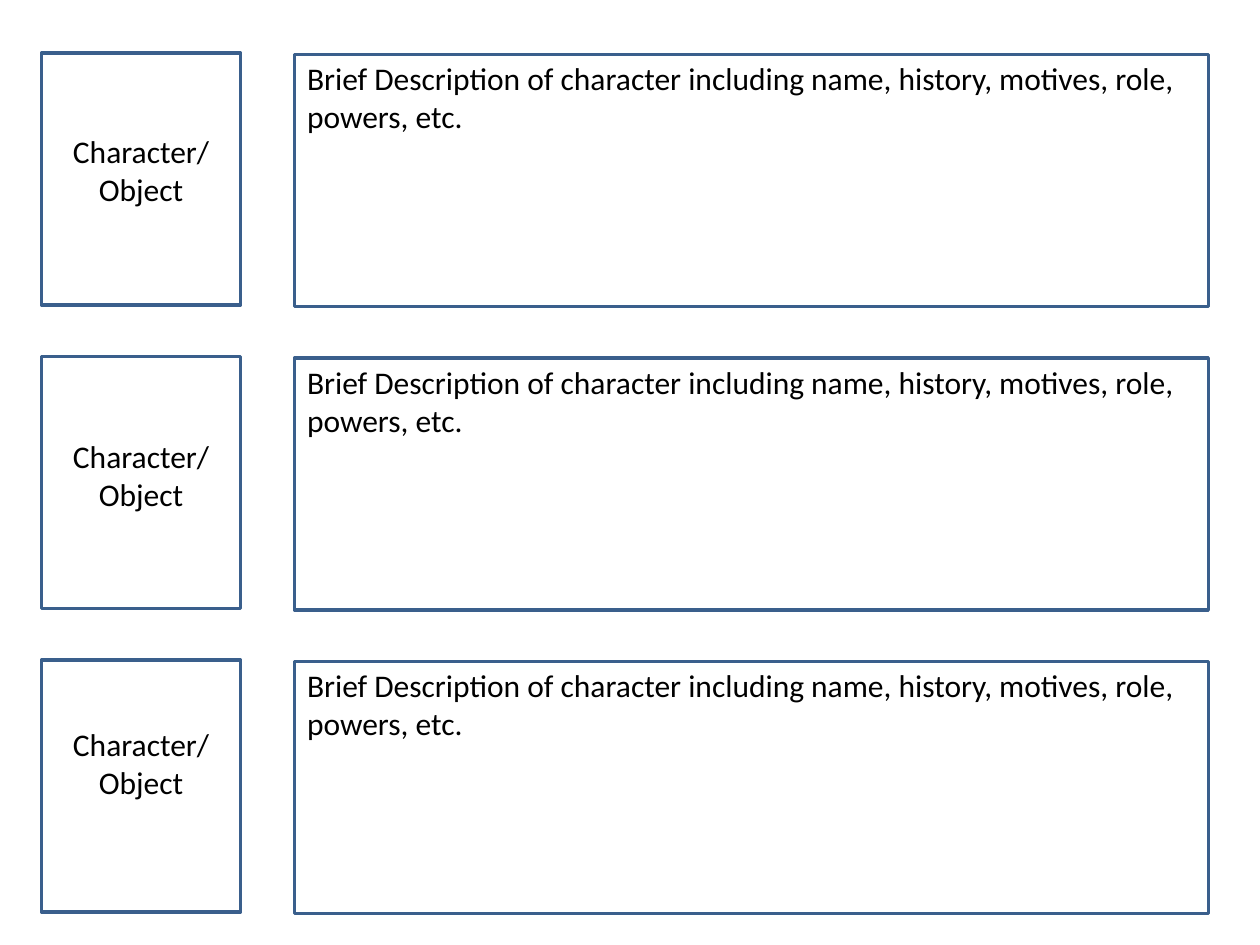
from pptx import Presentation
from pptx.dml.color import RGBColor
from pptx.enum.shapes import MSO_SHAPE
from pptx.enum.text import PP_ALIGN
from pptx.util import Cm, Pt

RECT = MSO_SHAPE.RECTANGLE
LEFT, CENTER = PP_ALIGN.LEFT, PP_ALIGN.CENTER

CARD_X, CARD_W = 0.84, 4.01
DESC_X, DESC_W = 5.94, 18.42
BOX_H = 5.08
FIRST_TOP, ROW_STEP = 1.07, 6.12
LABEL_TOPS = [2.54, 8.69, 14.5]
DESCRIPTION = ("Brief Description of character including name, history, "
               "motives, role, powers, etc.")


def add_frame(x, y, w):
    s = slide.shapes.add_shape(RECT, Cm(x), Cm(y), Cm(w), Cm(BOX_H))
    s.shadow.inherit = False
    s.fill.background()
    s.line.color.rgb = RGBColor.from_string("3A5F8C")
    s.line.width = Pt(2)


def add_text(x, y, w, h, text, align):
    tf = slide.shapes.add_textbox(Cm(x), Cm(y), Cm(w), Cm(h)).text_frame
    tf.word_wrap = True
    tf.text = text
    for p in tf.paragraphs:
        p.alignment = align
        for r in p.runs:
            r.font.name = "Calibri"
            r.font.size = Pt(18)
            r.font.color.rgb = RGBColor.from_string("000000")


prs = Presentation()
prs.slide_width, prs.slide_height = Cm(25.4), Cm(19.05)
slide = prs.slides.add_slide(prs.slide_layouts[6])

# One row per character: card on the left, description on the right
for row, label_top in enumerate(LABEL_TOPS):
    top = FIRST_TOP + row * ROW_STEP
    add_frame(DESC_X, top + 0.03, DESC_W)
    add_frame(CARD_X, top, CARD_W)
    add_text(CARD_X, label_top, CARD_W, 1.8, "Character/\nObject", CENTER)
    add_text(DESC_X, top, DESC_W, 4.88, DESCRIPTION, LEFT)

prs.save("out.pptx")
